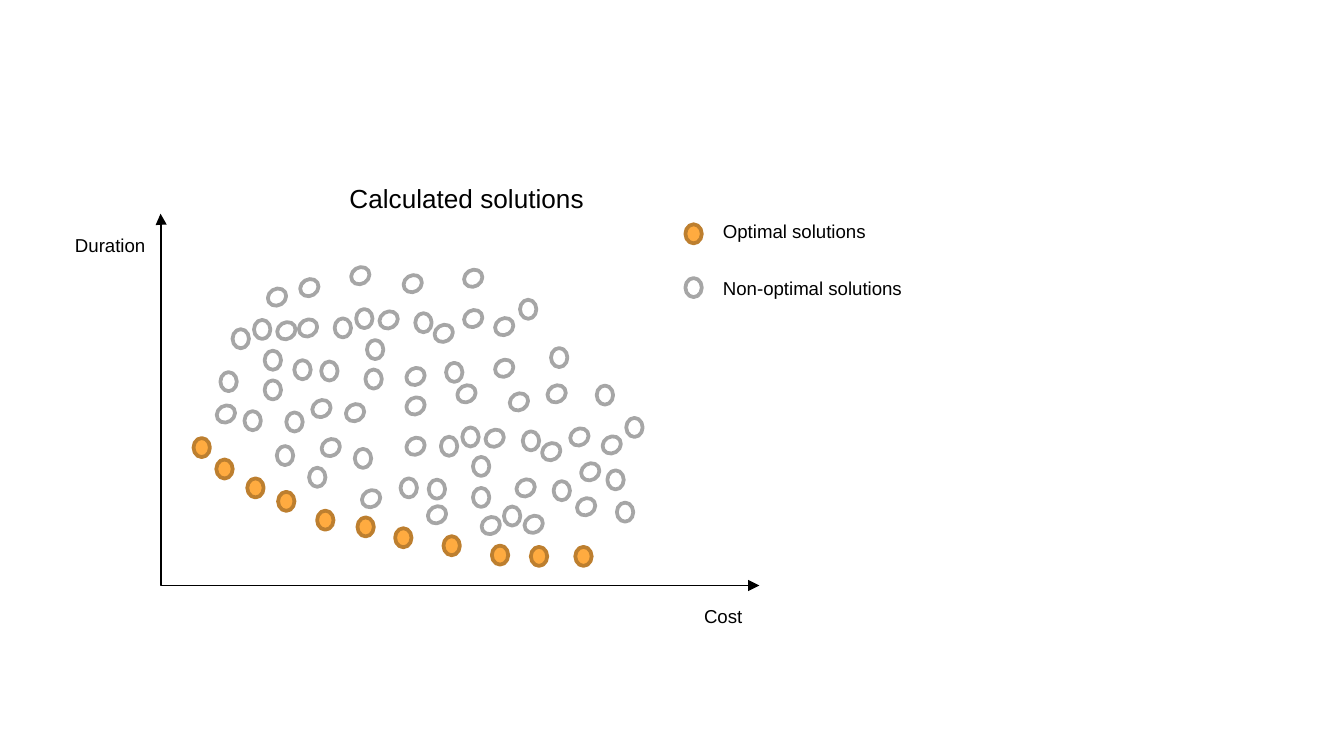
import pptx
import pptx.dml.color
import pptx.enum.shapes
import pptx.enum.text
import pptx.oxml.ns
import pptx.util
from lxml import etree

Pt = pptx.util.Pt

# Marker size and tilt, shared by the plot and the legend
MARKER_WIDTH, MARKER_HEIGHT, TILT = 8.8, 10.2, 58.2
OPTIMAL = {"fill": "FFAB40", "line": "BD7F2F"}
NON_OPTIMAL = {"fill": "FFFFFF", "line": "A6A6A6"}

# Left and top of each marker, in points
OPTIMAL_POINTS = [
    (103.7, 234.7), (115.9, 246.2), (132.5, 256.3), (149, 263.5),
    (169.9, 273.6), (191.5, 277.2), (211.7, 283), (237.6, 287.3),
    (263.5, 292.3), (284.4, 293), (308.2, 293),
]
UPRIGHT_POINTS = [
    (131, 220.3), (190.1, 240.5), (148.3, 239), (214.6, 256.3),
    (165.6, 250.6), (229.7, 257), (253.4, 261.4), (247.7, 229),
    (280.1, 231.1), (236.2, 234), (253.4, 244.8), (335.5, 223.9),
    (296.6, 257.8), (270, 271.4), (330.5, 269.3), (157.7, 193),
    (172.1, 193.7), (195.8, 198), (190.8, 165.6), (222.5, 167.8),
    (179.3, 170.6), (196.6, 182.2), (278.6, 160.6), (239, 194.4),
    (295.2, 186.5), (325.4, 252), (319.7, 206.6), (153.4, 221),
    (118.1, 199.4), (141.8, 203.8), (136.1, 171.4), (124.6, 176.4),
    (141.8, 187.9),
]
TILTED_POINTS = [
    (172.8, 234.7), (194.4, 262.1), (229.7, 270.7), (218.2, 212.4),
    (258.5, 276.5), (167.8, 213.8), (185.8, 216), (218.2, 234),
    (260.6, 229.7), (293.8, 205.9), (245.5, 205.9), (273.6, 210.2),
    (306, 229), (277.2, 256.3), (323.3, 233.3), (290.9, 236.9),
    (311.8, 247.7), (161.3, 149), (160.6, 170.6), (203.8, 166.3),
    (249.1, 144), (188.6, 142.6), (216.7, 146.9), (249.1, 165.6),
    (218.2, 196.6), (265.7, 169.9), (233.3, 173.5), (265.7, 192.2),
    (309.6, 266.4), (281.5, 275.8), (144, 154.1), (116.6, 216.7),
    (149, 172.1),
]


def color(hex_value):
    return pptx.dml.color.RGBColor.from_string(hex_value)


def set_attributes(target, values):
    for name, value in values.items():
        setattr(target, name, value)


def write_text(box, text, size):
    """Put one line of left-aligned black text in a box."""
    set_attributes(box.text_frame, {
        "word_wrap": True,
        "auto_size": pptx.enum.text.MSO_AUTO_SIZE.SHAPE_TO_FIT_TEXT,
        "vertical_anchor": pptx.enum.text.MSO_ANCHOR.TOP,
    })
    para = box.text_frame.paragraphs[0]
    para.alignment = pptx.enum.text.PP_ALIGN.LEFT
    span = para.add_run()
    span.text = text
    set_attributes(span.font, {"name": "Arial", "size": Pt(size)})
    span.font.color.rgb = color("000000")


def add_title(slide, text, left, top, width, height):
    title = slide.shapes.title
    set_attributes(title, {"left": Pt(left), "top": Pt(top),
                           "width": Pt(width), "height": Pt(height)})
    write_text(title, text, 14)


def add_label(slide, text, left, top, width):
    box = slide.shapes.add_textbox(Pt(left), Pt(top), Pt(width), Pt(19.4))
    write_text(box, text, 10)


def add_marker(slide, left, top, style, rotation=0):
    marker = slide.shapes.add_shape(
        pptx.enum.shapes.MSO_SHAPE.FLOWCHART_CONNECTOR,
        Pt(left), Pt(top), Pt(MARKER_WIDTH), Pt(MARKER_HEIGHT))
    marker.rotation = rotation
    marker.shadow.inherit = False
    marker.fill.solid()
    marker.fill.fore_color.rgb = color(style["fill"])
    marker.line.color.rgb = color(style["line"])
    marker.line.width = Pt(2)


def add_axes(slide, left, top, right, bottom):
    """Draw both axes as one elbow line with an arrowhead at each end."""
    axes = slide.shapes.add_connector(
        pptx.enum.shapes.MSO_CONNECTOR.ELBOW,
        Pt(left), Pt(top), Pt(right), Pt(bottom))
    axes.line.color.rgb = color("000000")
    axes.line.width = Pt(0.75)
    qn = pptx.oxml.ns.qn
    properties = axes._element.spPr
    line = properties.find(qn("a:ln"))
    for end in ("a:headEnd", "a:tailEnd"):
        etree.SubElement(line, qn(end), type="triangle", w="med", len="med")
    etree.SubElement(properties, qn("a:effectLst"))
    # Bend right at the start, so the corner is the plot's origin
    geometry = properties.find(qn("a:prstGeom"))
    adjustments = geometry.find(qn("a:avLst"))
    etree.SubElement(adjustments, qn("a:gd"), name="adj1", fmla="val 100")


def main():
    deck = pptx.Presentation()
    deck.slide_width, deck.slide_height = Pt(720), Pt(405)
    slide = deck.slides.add_slide(deck.slide_layouts.get_by_name("Title Only"))

    # Title and axes
    add_title(slide, "Calculated solutions", 180, 94.3, 144, 24.5)
    add_axes(slide, 86, 114.5, 406.8, 313.7)
    add_label(slide, "Cost", 370.1, 320.4, 53.3)
    add_label(slide, "Duration", 33.1, 121.7, 53.3)

    # Solutions
    for points, style, rotation in (
            (OPTIMAL_POINTS, OPTIMAL, 0),
            (UPRIGHT_POINTS, NON_OPTIMAL, 0),
            (TILTED_POINTS, NON_OPTIMAL, TILT)):
        for left, top in points:
            add_marker(slide, left, top, style, rotation)

    # Legend
    for text, style, marker_top, label_top, width in (
            ("Optimal solutions", OPTIMAL, 120.2, 114.5, 92.9),
            ("Non-optimal solutions", NON_OPTIMAL, 149, 144.7, 113.8)):
        add_marker(slide, 367.2, marker_top, style)
        add_label(slide, text, 380.2, label_top, width)

    deck.save("out.pptx")


if __name__ == "__main__":
    main()
